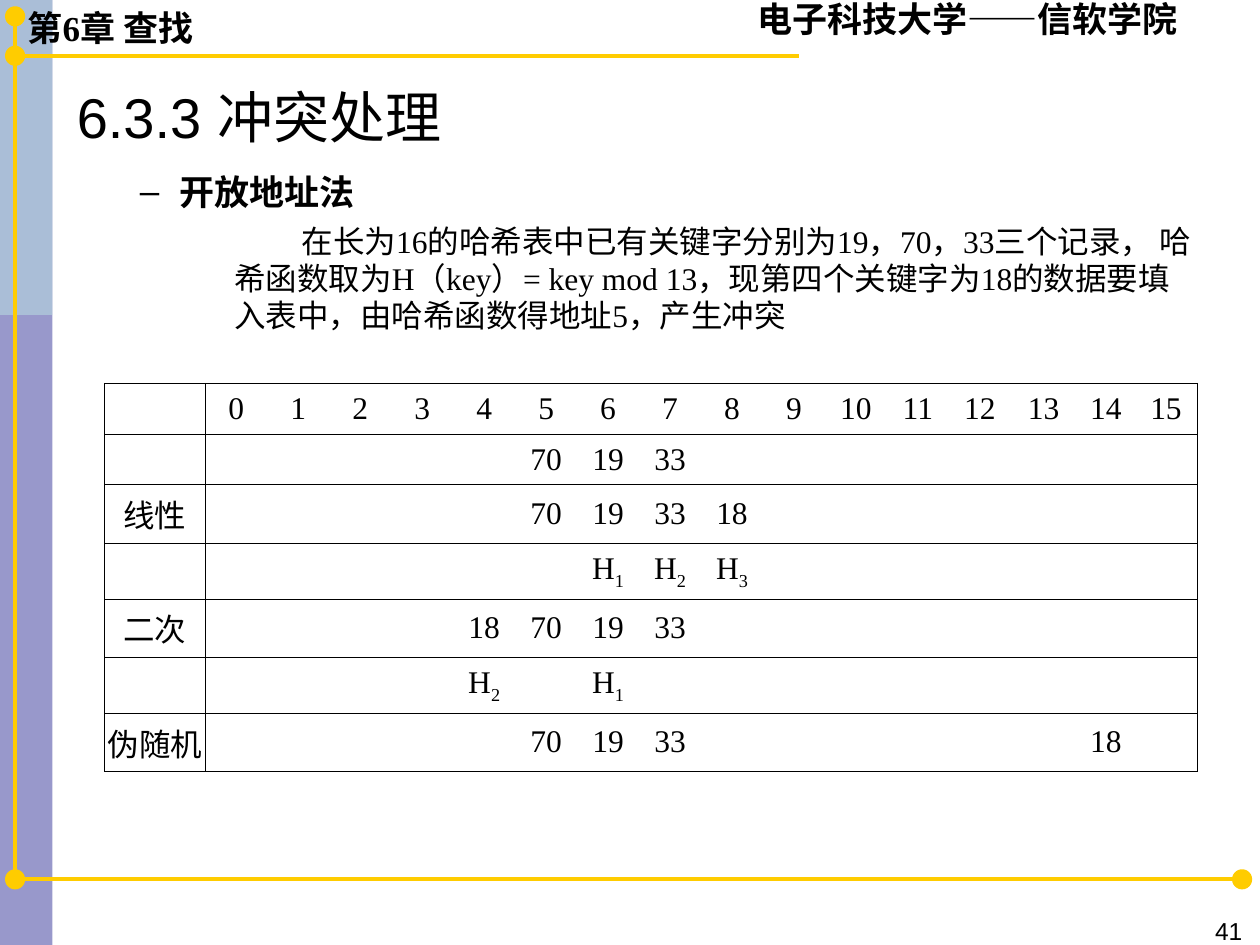
from lxml import etree
from pptx import Presentation
from pptx.dml.color import RGBColor
from pptx.enum.shapes import MSO_CONNECTOR, MSO_SHAPE
from pptx.enum.text import MSO_ANCHOR, MSO_AUTO_SIZE, PP_ALIGN
from pptx.oxml.ns import qn
from pptx.util import Pt

RECT, OVAL = MSO_SHAPE.RECTANGLE, MSO_SHAPE.OVAL
LINE = MSO_CONNECTOR.STRAIGHT
TOP, MID = MSO_ANCHOR.TOP, MSO_ANCHOR.MIDDLE
LEFT, MIDDLE, RIGHT = PP_ALIGN.LEFT, PP_ALIGN.CENTER, PP_ALIGN.RIGHT
FIXED = MSO_AUTO_SIZE.NONE

HEX = {"ink": "000000", "gold": "FFCC00", "navy": "333399", "pale": "BBE0E3"}
SERIF, SANS = "Times New Roman", "Arial"
BODY = (
    "在长为16的哈希表中已有关键字分别为19，70，33三个记录， "
    "哈希函数取为H（key）= key mod 13，现第四个关键字为18"
    "的数据要填入表中，由哈希函数得地址5，产生冲突"
)
SLOTS = 16
WIDE = {0: 57.6, 14: 37.6, 15: 33.4}
KEYS = {5: "70", 6: "19", 7: "33"}
ROWS = [
    ("", {n: str(n) for n in range(SLOTS)}),
    ("", KEYS),
    ("线性", {**KEYS, 8: "18"}),
    ("", {6: "H1", 7: "H2", 8: "H3"}),
    ("二次", {**KEYS, 4: "18"}),
    ("", {4: "H2", 6: "H1"}),
    ("伪随机", {**KEYS, 14: "18"}),
]


def tint(name):
    """Return the named colour."""
    return RGBColor.from_string(HEX[name])


def style(para, size, face=SERIF, bold=False):
    """Format every run of a paragraph."""
    for run in para.runs:
        font = run.font
        font.size, font.name, font.bold = Pt(size), face, bold
        font.color.rgb = tint("ink")


def place(shape, box):
    """Move a shape to a box given in points."""
    shape.left, shape.top, shape.width, shape.height = map(Pt, box)


def block(slide, kind, box, name, alpha=100):
    """Add a plain filled shape with an opacity in percent."""
    shape = slide.shapes.add_shape(kind, *map(Pt, box))
    shape.shadow.inherit = False
    shape.fill.solid()
    shape.fill.fore_color.rgb = tint(name)
    shape.line.fill.background()
    if alpha < 100:
        color = shape.fill._xPr.find(".//" + qn("a:srgbClr"))
        etree.SubElement(color, qn("a:alpha")).set("val", str(alpha * 1000))


def rule(slide, *ends):
    """Add a gold line between two points."""
    line = slide.shapes.add_connector(LINE, *map(Pt, ends))
    line.line.color.rgb = tint("gold")
    line.line.width = Pt(2.25)
    etree.SubElement(line._element.spPr, qn("a:effectLst"))


def label(slide, box, text, size, face=SERIF, bold=False, align=LEFT, anchor=MID):
    """Add a one-line text box."""
    frame = slide.shapes.add_textbox(*map(Pt, box)).text_frame
    frame.word_wrap, frame.auto_size = True, FIXED
    frame.vertical_anchor = anchor
    frame.text = text
    frame.paragraphs[0].alignment = align
    style(frame.paragraphs[0], size, face, bold)


def trim(slide, box):
    """Draw the side band, gold lines and dots, and the running heads."""
    left, top, width, height = box
    axis, head, foot = left + 8.64, top + 31.9, top + 502.5
    block(slide, RECT, (left, top, 30, height), "navy", 50)
    block(slide, RECT, (left, top, 30, height / 3), "pale", 53)
    rule(slide, axis, foot, left + width - 8.64, foot)
    rule(slide, axis, head, left + 456.5, head)
    rule(slide, axis, foot, axis, top + 9.36)
    end = left + width - 10.2
    for x, y in ((axis, top + 9.36), (axis, head), (axis, foot), (end, foot)):
        block(slide, OVAL, (x - 5.76, y - 5.76, 11.52, 11.52), "gold")
    label(slide, (axis, top, 136, 31.68), "第6章 查找", 20, bold=True)
    label(slide, (left + 425.5, top - 5, 297.5, 31.68), "电子科技大学——信软学院", 20, bold=True)
    label(slide, (left + 527, top + 520, 190, 16), "41", 14, SANS, align=RIGHT, anchor=TOP)


def topic(slide, box):
    """Fill the title and the list below it."""
    left, top, width, height = box
    title, body = slide.shapes.title, slide.placeholders[1]
    place(title, (left, top, width, 50))
    place(body, (left, top + 53, width, height - 53))
    for shape in (title, body):
        frame = shape.text_frame
        frame.auto_size, frame.vertical_anchor = FIXED, TOP
        frame.margin_right = Pt(12)
    title.text_frame.text = "6.3.3 冲突处理"
    body.text_frame.text = "开放地址法\n" + BODY
    lead, text = body.text_frame.paragraphs
    plan = (
        (title.text_frame.paragraphs[0], 0, 0, 0, 0, 41, 32, SANS, False, None),
        (lead, 1, 58.5, -22.5, 0, 24, 20, SERIF, True, "–"),
        (text, 2, 90, 38.5, 5.2, 21.4, 18, SERIF, False, None),
    )
    for para, level, margin, indent, gap, pitch, size, face, bold, mark in plan:
        para.level, para.alignment = level, LEFT
        para.space_before, para.line_spacing = Pt(gap), Pt(pitch)
        props = para._p.get_or_add_pPr()
        props.set("marL", str(Pt(margin)))
        props.set("indent", str(Pt(indent)))
        props.set("hangingPunct", "0")
        if mark:
            etree.SubElement(props, qn("a:buChar")).set("char", mark)
        else:
            etree.SubElement(props, qn("a:buNone"))
        style(para, size, face, bold)


def edge(cell, sides):
    """Draw the named sides of a cell and clear the others."""
    props = cell._tc.get_or_add_tcPr()
    for side in "LRTB":
        line = etree.SubElement(props, qn("a:ln" + side))
        line.set("w", str(Pt(0.45)))
        if side in sides:
            fill = etree.SubElement(line, qn("a:solidFill"))
            etree.SubElement(fill, qn("a:srgbClr")).set("val", HEX["ink"])
        else:
            etree.SubElement(line, qn("a:noFill"))
    cell.fill.background()


def write(cell, text):
    """Write a centred cell, with the digit after an H set low."""
    cell.vertical_anchor = MID
    cell.margin_left = cell.margin_right = Pt(1.44)
    if not text:
        cell.margin_top = cell.margin_bottom = Pt(0)
        return
    para = cell.text_frame.paragraphs[0]
    para.alignment = MIDDLE
    for part in (text if text[0] == "H" else [text]):
        para.add_run().text = part
    style(para, 18)
    for run in para.runs[1:]:
        run._r.get_or_add_rPr().set("baseline", "-25000")


def probe(slide, box):
    """Build the table of slots for each way to probe."""
    width = box[2]
    table = slide.shapes.add_table(len(ROWS), SLOTS + 1, *map(Pt, box)).table
    table.first_row = table.horz_banding = False
    even = (width - sum(WIDE.values())) / (SLOTS + 1 - len(WIDE))
    for n, col in enumerate(table.columns):
        col.width = Pt(WIDE.get(n, even))
    for r, (name, marks) in enumerate(ROWS):
        low = any(mark[0] == "H" for mark in marks.values())
        table.rows[r].height = Pt(32 if low else 29)
        for c in range(SLOTS + 1):
            cell = table.cell(r, c)
            ends = {0: "LR", 1: "L", SLOTS: "R"}
            edge(cell, "TB" + ends.get(c, ""))
            write(cell, marks.get(c - 1, "") if c else name)


def main():
    """Build and save the slide."""
    deck = Presentation()
    deck.slide_width, deck.slide_height = Pt(720), Pt(540)
    slide = deck.slides.add_slide(deck.slide_layouts[1])
    trim(slide, (0, 0, 720, 540))
    topic(slide, (36.72, 41, 658.8, 195))
    probe(slide, (59.76, 219, 624.6, 203))
    deck.save("out.pptx")


if __name__ == "__main__":
    main()
